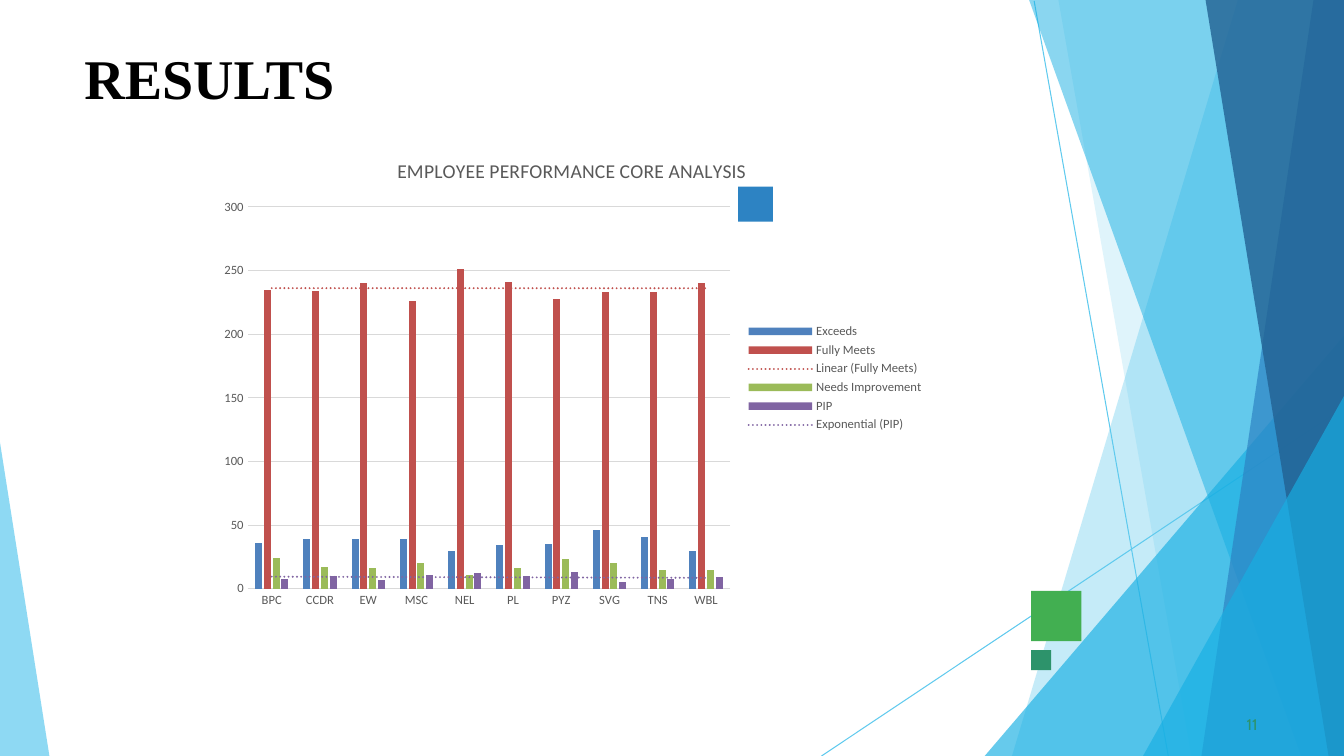
from lxml.etree import SubElement
from pptx import Presentation
from pptx.chart.data import CategoryChartData
from pptx.dml.color import RGBColor
from pptx.enum.chart import XL_CHART_TYPE, XL_LEGEND_POSITION, XL_TICK_MARK
from pptx.enum.shapes import MSO_CONNECTOR, MSO_SHAPE
from pptx.oxml import parse_xml
from pptx.oxml.ns import nsdecls, qn
from pptx.util import Pt

WIDTH, HEIGHT = 960, 540
COLOURS = {
    "sky": "5FCAEE", "cyan": "17AFE3", "blue": "2D83C3", "navy": "226192",
    "green": "42AF51", "teal": "2D936B", "black": "000000",
    "grey": "595959", "rule": "D9D9D9",
    "Exceeds": "4F81BD", "Fully Meets": "C0504D",
    "Needs Improvement": "9BBB59", "PIP": "8064A2",
}
HEADING = "RESULTS"
PAGE_NUMBER = "11"
CHART_TITLE = "EMPLOYEE PERFORMANCE CORE ANALYSIS"
UNITS = ["BPC", "CCDR", "EW", "MSC", "NEL", "PL", "PYZ", "SVG", "TNS", "WBL"]
RATINGS = {
    "Exceeds": [36, 39, 39, 39, 30, 34, 35, 46, 41, 30],
    "Fully Meets": [235, 234, 240, 226, 251, 241, 228, 233, 233, 240],
    "Needs Improvement": [24, 17, 16, 20, 11, 16, 23, 20, 15, 15],
    "PIP": [8, 10, 7, 11, 12, 10, 13, 5, 8, 9],
}
TRENDS = {"Fully Meets": "linear", "PIP": "exp"}
RAYS = [(738.7, 0.7, 834.5, HEIGHT), (WIDTH, 290.9, 586.8, HEIGHT)]
# Each facet: slide side, top point, x at the bottom edge, colour, opacity
FACETS = [
    (WIDTH, (884.2, 0), 722.9, "sky", 36),
    (WIDTH, (756, 0), 851, "sky", 20),
    (WIDTH, (WIDTH, 239.8), 703.4, "cyan", 66),
    (WIDTH, (735.1, 0), 929.5, "cyan", 50),
    (WIDTH, (938.2, 0), 858.2, "blue", 70),
    (WIDTH, (861.1, 0), 949, "navy", 80),
    (WIDTH, (WIDTH, 283), 816.5, "cyan", 66),
    (0, (0, 316.1), 35.3, "sky", 70),
]
SQUARES = [(736.5, 422, 36, "green"), (527.2, 133.4, 25, "blue"), (736.5, 464.4, 14.4, "teal")]


def rgb(name):
    return RGBColor.from_string(COLOURS[name])


def paint(shape, colour):
    shape.shadow.inherit = False
    shape.fill.solid()
    shape.fill.fore_color.rgb = rgb(colour)
    shape.line.fill.background()


def add_ray(slide, ends):
    ray = slide.shapes.add_connector(MSO_CONNECTOR.STRAIGHT, *map(Pt, ends))
    ray.line.color.rgb = rgb("sky")
    ray.line.width = Pt(0.75)
    SubElement(ray._element.spPr, qn("a:effectLst"))


def add_facet(slide, side, top, bottom_x, colour, opacity):
    corners = [(bottom_x, HEIGHT), (side, HEIGHT), (side, top[1])]
    outline = slide.shapes.build_freeform(*map(Pt, top))
    outline.add_line_segments([(Pt(x), Pt(y)) for x, y in corners], close=True)
    facet = outline.convert_to_shape()
    paint(facet, colour)
    tint = facet._element.spPr.find(qn("a:solidFill"))[0]
    SubElement(tint, qn("a:alpha")).set("val", str(opacity * 1000))


def add_label(slide, text, box, size, font, colour, bold=False):
    frame = slide.shapes.add_textbox(*map(Pt, box)).text_frame
    frame.word_wrap = True
    frame.margin_left = frame.margin_right = frame.margin_bottom = 0
    frame.margin_top = Pt(0.9)
    paragraph = frame.paragraphs[0]
    paragraph.text = text
    paragraph.space_before = Pt(1)
    style_font(paragraph.font, size, font, colour, bold)


def style_font(font, size, name="Calibri", colour="grey", bold=False):
    font.size, font.name, font.bold = Pt(size), name, bold
    font.color.rgb = rgb(colour)


def add_trend(series, kind):
    trend = parse_xml(
        f'<c:trendline {nsdecls("c", "a")}><c:spPr><a:ln w="19050" cap="rnd">'
        f'<a:solidFill><a:srgbClr val="{COLOURS[series.name]}"/></a:solidFill>'
        f'<a:prstDash val="sysDot"/></a:ln></c:spPr><c:trendlineType val="{kind}"/>'
        '<c:dispRSqr val="0"/><c:dispEq val="0"/></c:trendline>')
    series._element.find(qn("c:cat")).addprevious(trend)


def add_ratings_chart(slide):
    data = CategoryChartData()
    data.categories = UNITS
    for rating, counts in RATINGS.items():
        data.add_series(rating, counts)
    chart = slide.shapes.add_chart(
        XL_CHART_TYPE.COLUMN_CLUSTERED, *map(Pt, (150, 99.4, 517, 341.3)), data).chart
    style_font(chart.font, 10, colour="black")
    chart._chartSpace.find(qn("c:txPr")).addprevious(parse_xml(
        f'<c:spPr {nsdecls("c", "a")}><a:noFill/><a:ln><a:noFill/></a:ln></c:spPr>'))

    chart.has_title = True
    title = chart.chart_title.text_frame.paragraphs[0]
    title.text = CHART_TITLE
    style_font(title.font, 14)
    chart.has_legend = True
    chart.legend.position = XL_LEGEND_POSITION.RIGHT
    chart.legend.include_in_layout = False
    style_font(chart.legend.font, 9)

    for axis in (chart.category_axis, chart.value_axis):
        axis.major_tick_mark = axis.minor_tick_mark = XL_TICK_MARK.NONE
        style_font(axis.tick_labels.font, 9)
    chart.value_axis.format.line.fill.background()
    for line in (chart.category_axis.format.line, chart.value_axis.major_gridlines.format.line):
        line.color.rgb = rgb("rule")
        line.width = Pt(0.75)

    plot = chart.plots[0]
    plot.vary_by_categories = False
    plot.gap_width, plot.overlap = 219, -27
    for series in plot.series:
        series.format.fill.solid()
        series.format.fill.fore_color.rgb = rgb(series.name)
        if series.name in TRENDS:
            add_trend(series, TRENDS[series.name])


def main():
    """Build the results slide with its faceted backdrop and ratings chart."""
    deck = Presentation()
    deck.slide_width, deck.slide_height = Pt(WIDTH), Pt(HEIGHT)
    slide = deck.slides.add_slide(deck.slide_layouts[6])
    for ends in RAYS:
        add_ray(slide, ends)
    for facet in FACETS:
        add_facet(slide, *facet)
    for left, top, side, colour in SQUARES:
        square = slide.shapes.add_shape(MSO_SHAPE.RECTANGLE, *map(Pt, (left, top, side, side)))
        paint(square, colour)
    add_label(slide, HEADING, (60.3, 30.2, 192, 48), 40, "Times New Roman", "black", True)
    add_label(slide, PAGE_NUMBER, (890.5, 509.8, 18, 15), 11, "Cabin", "teal")
    add_ratings_chart(slide)
    deck.save("out.pptx")


if __name__ == "__main__":
    main()
